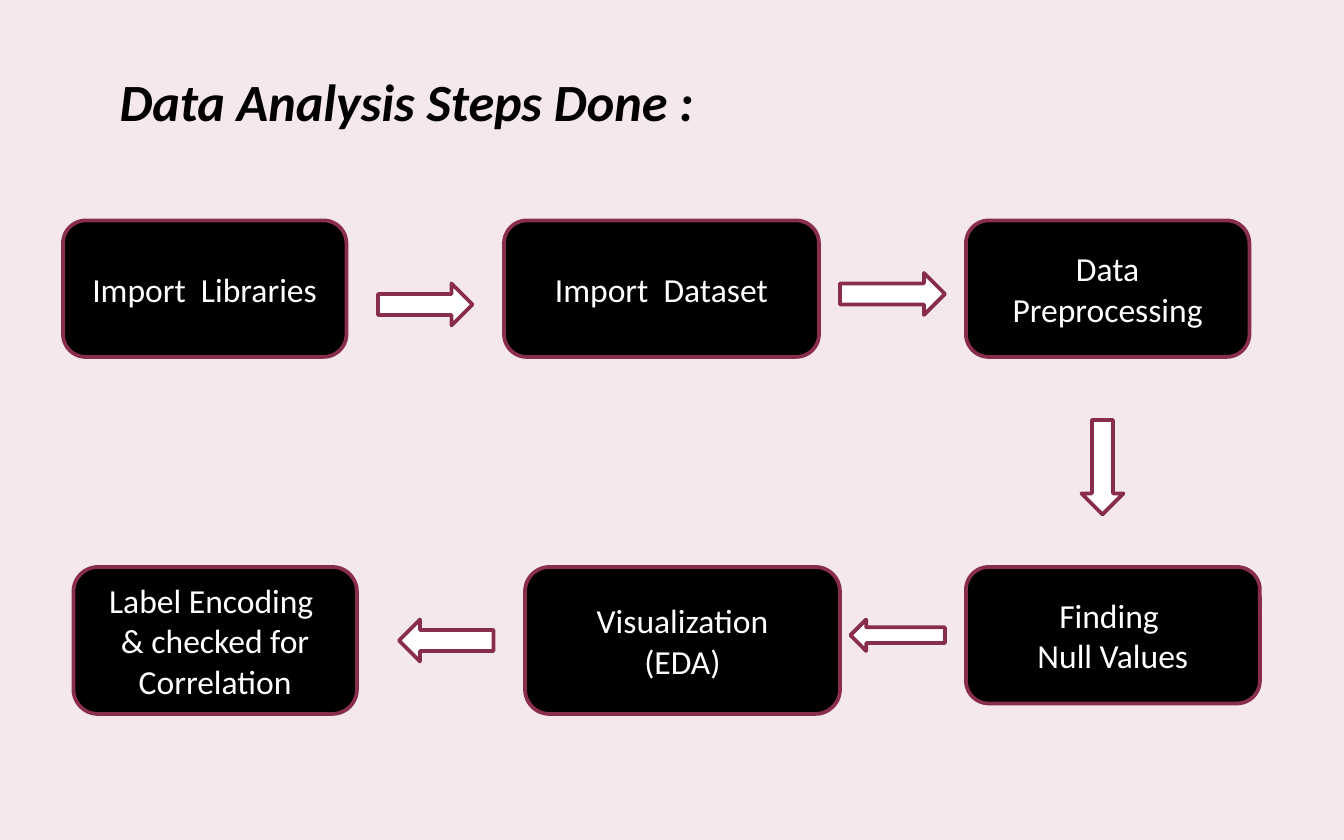
from pptx import Presentation
from pptx.dml.color import RGBColor
from pptx.enum.shapes import MSO_SHAPE
from pptx.enum.text import MSO_ANCHOR, PP_ALIGN
from pptx.util import Inches, Pt

COLORS = {"back": "F4E7ED", "box": "000000", "edge": "882D4D",
          "arrow": "FFFFFF", "text": "FFFFFF", "title": "000000"}
UNIT = Inches(10) // 128  # the slide is a grid of 128 columns by 80 rows


def add_block(kind, cells, fill):
    """Add an outlined shape; cells are its left, top, width and height."""
    shape = slide.shapes.add_shape(kind, *(n * UNIT for n in cells))
    shape.shadow.inherit = False
    shape.fill.solid()
    shape.fill.fore_color.rgb = RGBColor.from_string(COLORS[fill])
    shape.line.color.rgb = RGBColor.from_string(COLORS["edge"])
    shape.line.width = Pt(2)
    return shape


def add_run(par, text, size, color):
    par.alignment = PP_ALIGN.CENTER
    run = par.add_run()
    run.text = text
    run.font.name = "Calibri"
    run.font.size = Pt(size)
    run.font.color.rgb = RGBColor.from_string(COLORS[color])
    return run


deck = Presentation()
deck.slide_width, deck.slide_height = 128 * UNIT, 80 * UNIT
slide = deck.slides.add_slide(deck.slide_layouts[5])
slide.background.fill.solid()
slide.background.fill.fore_color.rgb = RGBColor.from_string(COLORS["back"])

title = slide.shapes.title
title.left, title.top = Inches(0.5), Inches(0.25)
title.width, title.height = Inches(5.05), Inches(1)
title.text_frame.vertical_anchor = MSO_ANCHOR.MIDDLE
run = add_run(title.text_frame.paragraphs[0], "Data Analysis Steps Done :", 28, "title")
run.font.bold = run.font.italic = True

steps = [
    ((6, 21, 27, 13), ["Import  Libraries"]),
    ((48, 21, 30, 13), ["Import  Dataset"]),
    ((92, 21, 27, 13), ["Data", "Preprocessing"]),
    ((7, 54, 27, 14), ["Label Encoding ", "& checked for", "Correlation"]),
    ((50, 54, 30, 14), ["Visualization", "(EDA)"]),
    ((92, 54, 28, 13), ["Finding ", "Null Values"]),
]
for cells, lines in steps:
    frame = add_block(MSO_SHAPE.ROUNDED_RECTANGLE, cells, "box").text_frame
    frame.word_wrap = True
    frame.vertical_anchor = MSO_ANCHOR.MIDDLE
    for i, line in enumerate(lines):
        par = frame.add_paragraph() if i else frame.paragraphs[0]
        add_run(par, line, 18, "text")

arrows = [
    (MSO_SHAPE.RIGHT_ARROW, (36, 27, 9, 4)),
    (MSO_SHAPE.RIGHT_ARROW, (80, 26, 10, 4)),
    (MSO_SHAPE.LEFT_ARROW, (38, 59, 9, 4)),
    (MSO_SHAPE.LEFT_ARROW, (81, 59, 9, 3)),
    (MSO_SHAPE.DOWN_ARROW, (103, 40, 4, 9)),
]
for kind, cells in arrows:
    add_block(kind, cells, "arrow")

deck.save("out.pptx")
